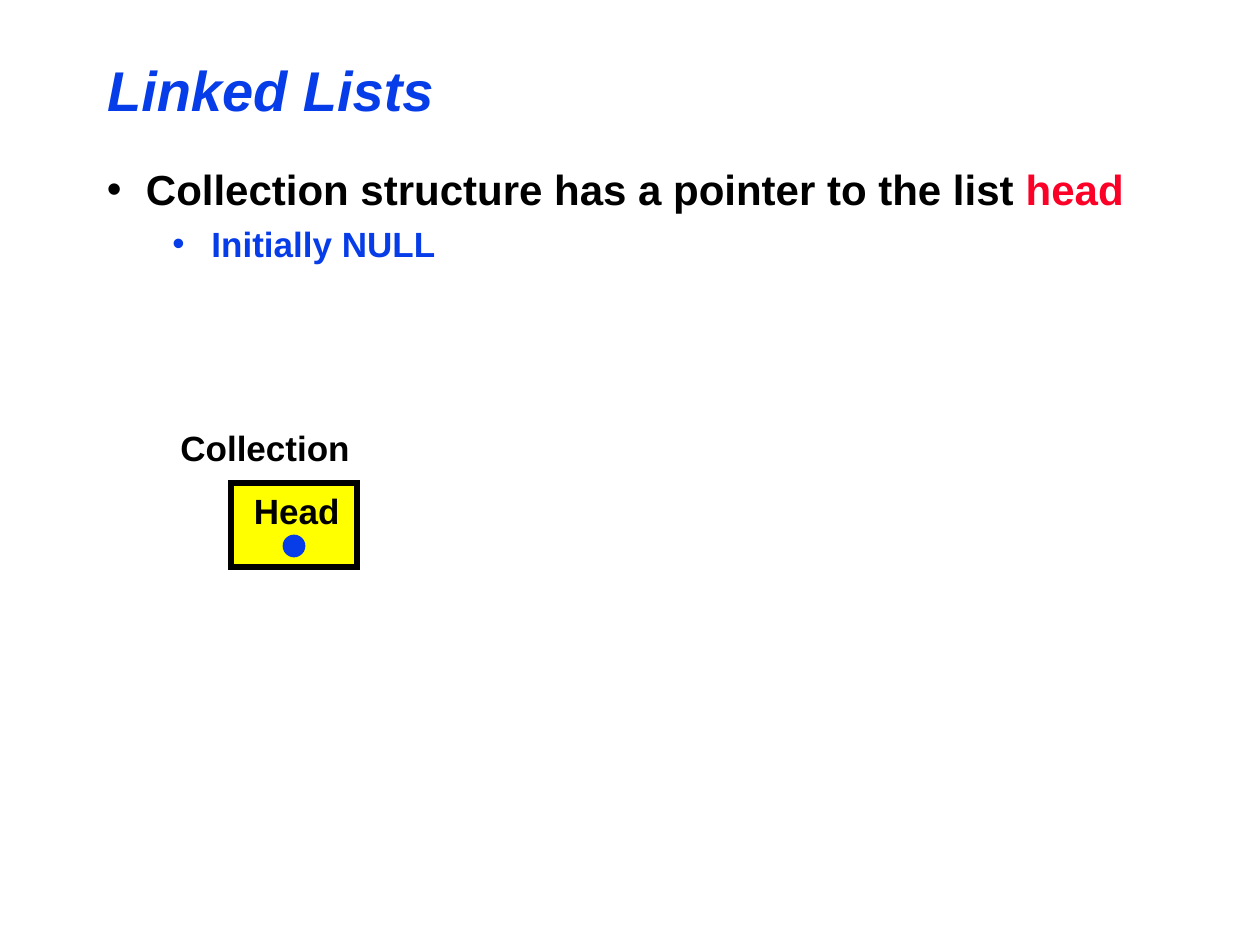
from lxml import etree
from pptx import Presentation
from pptx.dml.color import RGBColor
from pptx.enum.shapes import MSO_SHAPE
from pptx.enum.text import MSO_ANCHOR, MSO_AUTO_SIZE, PP_ALIGN
from pptx.oxml.ns import qn
from pptx.util import Inches, Pt

RECT, OVAL = MSO_SHAPE.RECTANGLE, MSO_SHAPE.OVAL
MIDDLE, TOP, LEFT = MSO_ANCHOR.MIDDLE, MSO_ANCHOR.TOP, PP_ALIGN.LEFT
FIT, NO_FIT = MSO_AUTO_SIZE.SHAPE_TO_FIT_TEXT, MSO_AUTO_SIZE.NONE

BLACK = RGBColor(0x00, 0x00, 0x00)
BLUE = RGBColor(0x06, 0x3D, 0xE8)
RED = RGBColor(0xFC, 0x01, 0x28)
YELLOW = RGBColor(0xFF, 0xFF, 0x00)

FONT = "Arial"
COL = ROW = Inches(1) / 12  # grid of 120 columns by 90 rows


def place(sp, x, y, w, h):
    """Put a shape on the grid."""
    sp.left, sp.top = round(x * COL), round(y * ROW)
    sp.width, sp.height = round(w * COL), round(h * ROW)


def add_text(p, text, size=20, color=BLACK, italic=False):
    r = p.add_run()
    r.text = text
    font = r.font
    font.name, font.size, font.bold, font.italic = FONT, Pt(size), True, italic
    font.color.rgb = color


def set_bullet(p, indent, color):
    """Give a paragraph a hanging round bullet."""
    pPr = p._p.get_or_add_pPr()
    pPr.set("marL", str(Inches(indent)))
    pPr.set("indent", str(-Inches(0.31)))
    clr = etree.SubElement(pPr, qn("a:buClr"))
    etree.SubElement(clr, qn("a:srgbClr"), val=str(color))
    etree.SubElement(pPr, qn("a:buFont"), typeface=FONT)
    etree.SubElement(pPr, qn("a:buChar"), char="•")


def add_label(slide, text, x, y, w, h):
    sp = slide.shapes.add_textbox(0, 0, 0, 0)
    place(sp, x, y, w, h)
    tf = sp.text_frame
    tf.word_wrap, tf.auto_size = False, FIT
    add_text(tf.paragraphs[0], text)


def add_node(slide, kind, x, y, w, h, fill, line, weight):
    sp = slide.shapes.add_shape(kind, 0, 0, 0, 0)
    place(sp, x, y, w, h)
    sp.shadow.inherit = False
    sp.fill.solid()
    sp.fill.fore_color.rgb = fill
    sp.line.color.rgb = line
    sp.line.width = Pt(weight)
    # Square corners
    etree.SubElement(sp.line._get_or_add_ln(), qn("a:miter"), lim="800000")


def add_title(slide, x, y, w, h):
    sp = slide.shapes.title
    place(sp, x, y, w, h)
    tf = sp.text_frame
    tf.vertical_anchor, tf.auto_size = MIDDLE, NO_FIT
    p = tf.paragraphs[0]
    p.alignment = LEFT
    add_text(p, "Linked Lists", size=32, color=BLUE, italic=True)


def add_points(slide, x, y, w, h):
    sp = slide.shapes.add_textbox(0, 0, 0, 0)
    place(sp, x, y, w, h)
    tf = sp.text_frame
    tf.word_wrap, tf.vertical_anchor = True, TOP
    # Main point
    p = tf.paragraphs[0]
    set_bullet(p, 0.31, BLACK)
    add_text(p, "Collection structure has a pointer to the list ", size=24)
    add_text(p, "head", size=24, color=RED)
    # Sub-point
    p = tf.add_paragraph()
    p.level = 1
    set_bullet(p, 0.83, BLUE)
    p.space_before = Pt(5)
    add_text(p, "Initially NULL", color=BLUE)


def add_collection(slide, x, y, w, h):
    """Collection box with its head pointer, and its name above."""
    add_node(slide, RECT, x, y, w, h, YELLOW, BLACK, 3)
    add_label(slide, "Head", x + 1, y, 10.7, 5.25)
    add_node(slide, OVAL, x + 5, y + 5, 2, 2, BLUE, BLUE, 1)
    add_label(slide, "Collection", x - 6, y - 6, 18.7, 5.25)


def main():
    prs = Presentation()
    prs.slide_width, prs.slide_height = Inches(10), Inches(7.5)
    slide = prs.slides.add_slide(prs.slide_layouts[5])
    add_title(slide, 9, 4, 102, 9)
    add_points(slide, 9, 15, 104, 25)
    add_collection(slide, 22, 46, 12, 8)
    prs.save("out.pptx")


if __name__ == "__main__":
    main()
